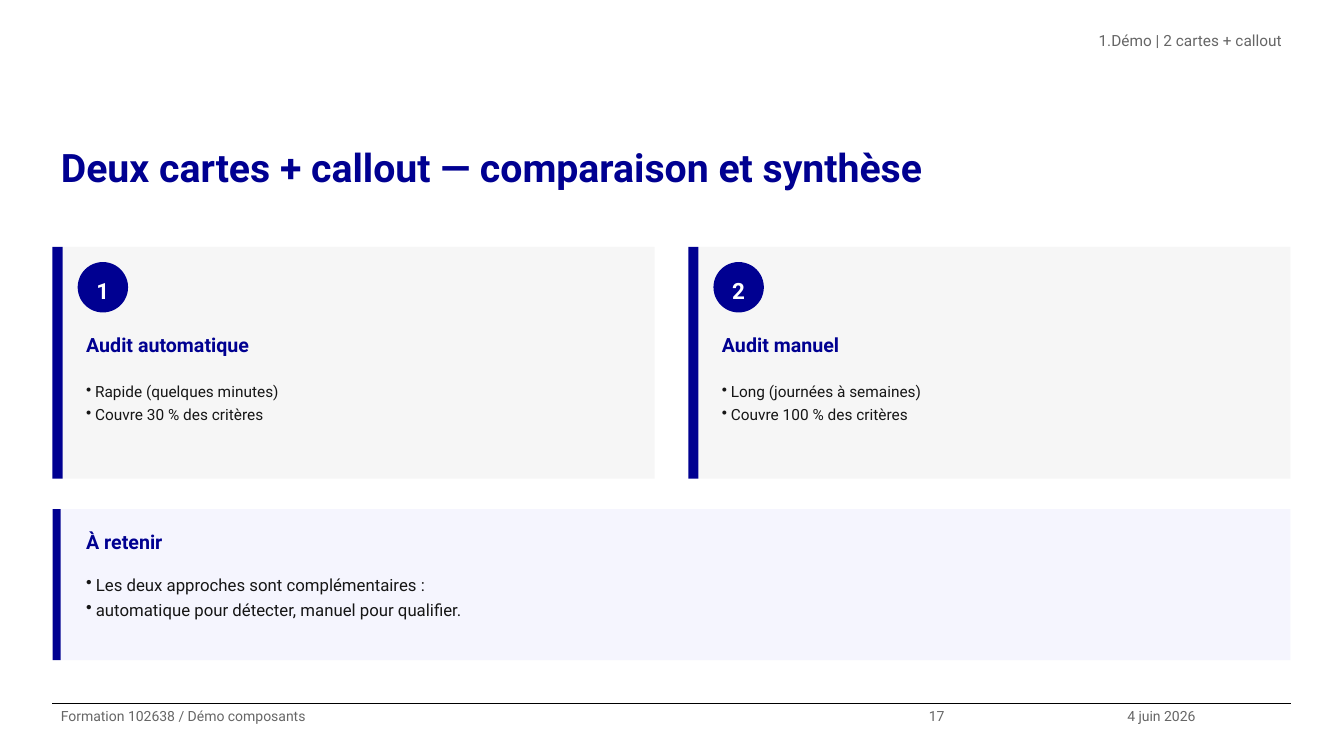
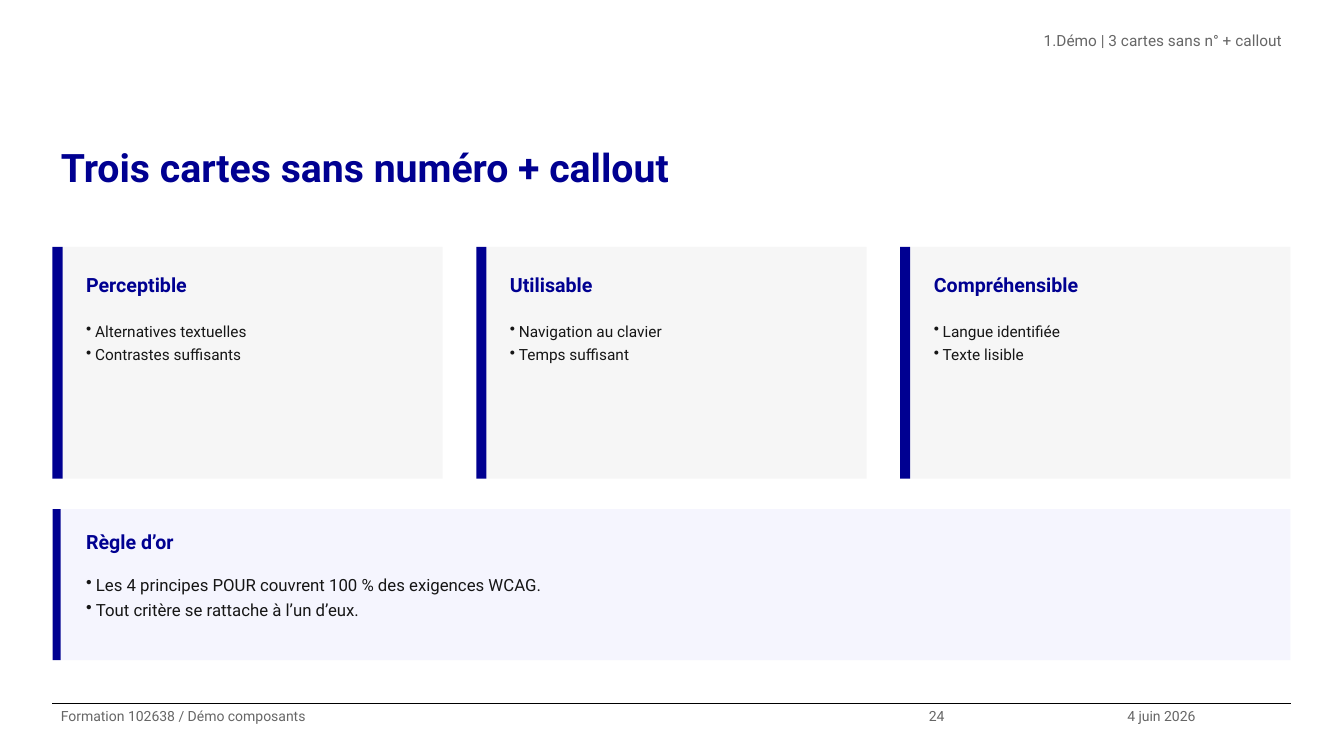
from lxml.etree import SubElement
from pptx import Presentation
from pptx.dml.color import RGBColor
from pptx.enum.shapes import MSO_CONNECTOR, MSO_SHAPE
from pptx.enum.text import MSO_ANCHOR, PP_ALIGN
from pptx.oxml.ns import qn
from pptx.util import Pt

BLUE = RGBColor(0x00, 0x00, 0x91)
GREY = RGBColor(0x66, 0x66, 0x66)
INK = RGBColor(0x16, 0x16, 0x16)
BLACK = RGBColor(0x00, 0x00, 0x00)
WHITE = RGBColor(0xFF, 0xFF, 0xFF)
CARD_FILL = RGBColor(0xF6, 0xF6, 0xF6)
CALLOUT_FILL = RGBColor(0xF5, 0xF5, 0xFE)

SLIDES = [
    {
        "header": "Démo | 2 cartes + callout",
        "title": "Deux cartes + callout — comparaison et synthèse",
        "page": "17",
        "numbered": True,
        "cards": [
            ("Audit automatique", ["Rapide (quelques minutes)", "Couvre 30 % des critères"]),
            ("Audit manuel", ["Long (journées à semaines)", "Couvre 100 % des critères"]),
        ],
        "callout": ("À retenir", [
            "Les deux approches sont complémentaires :",
            "automatique pour détecter, manuel pour qualifier.",
        ]),
    },
    {
        "header": "Démo | 3 cartes sans n° + callout",
        "title": "Trois cartes sans numéro + callout",
        "page": "24",
        "numbered": False,
        "cards": [
            ("Perceptible", ["Alternatives textuelles", "Contrastes suffisants"]),
            ("Utilisable", ["Navigation au clavier", "Temps suffisant"]),
            ("Compréhensible", ["Langue identifiée", "Texte lisible"]),
        ],
        "callout": ("Règle d’or", [
            "Les 4 principes POUR couvrent 100 % des exigences WCAG.",
            "Tout critère se rattache à l’un d’eux.",
        ]),
    },
]
FOOTER = "Formation 102638 / Démo composants"
DATE = "4 juin 2026"

FONT = "Roboto"
TITLE = {"size": Pt(28), "bold": True, "color": BLUE}
HEADING = {"size": Pt(14), "bold": True, "color": BLUE}
BADGE = {"size": Pt(16), "bold": True, "color": WHITE}
CARD_BODY = {"size": Pt(11), "color": INK}
CALLOUT_BODY = {"size": Pt(12), "color": INK}
HEADER = {"size": Pt(11), "color": GREY}
SMALL = {"size": Pt(10), "color": GREY}

LEFT, WIDTH = 37.5, 884.3
RIGHT = LEFT + WIDTH
TEXT_LEFT = 18
PADDING = 10.8
GAP = 24
CARD_TOP, CARD_HEIGHT, CARD_BAR = 176.4, 165.6, 7.2
CALLOUT_TOP, CALLOUT_HEIGHT, CALLOUT_BAR = 363.6, 108, 5.76
BADGE_SIZE, BADGE_STEP = 36, 43.2
FOOTER_TOP = 502.4
PAGE_LEFT, DATE_LEFT = 657.5, 799.2
BULLET_RATIO = 0.58


def box(left, top, width, height):
    return [Pt(round(value, 2)) for value in (left, top, width, height)]


def set_list_mark(paragraph, indent, tag, **attributes):
    properties = paragraph._p.get_or_add_pPr()
    properties.set("marL", str(Pt(indent)))
    properties.set("indent", str(-Pt(indent)))
    SubElement(properties, qn(tag), attributes)


def write(shape, lines, style, inset=3.6, align=PP_ALIGN.LEFT, anchor=MSO_ANCHOR.TOP, mark=None):
    frame = shape.text_frame
    settings = {
        "word_wrap": True, "vertical_anchor": anchor,
        "margin_left": Pt(6), "margin_right": Pt(6),
        "margin_top": Pt(inset), "margin_bottom": Pt(inset),
    }
    for name, value in settings.items():
        setattr(frame, name, value)
    for index, line in enumerate(lines):
        paragraph = frame.add_paragraph() if index else frame.paragraphs[0]
        paragraph.alignment = align
        paragraph.line_spacing = 1.25
        if mark == "bullet":
            indent = round(style["size"].pt * BULLET_RATIO, 2)
            set_list_mark(paragraph, indent, "a:buChar", char="•")
        elif mark == "number":
            set_list_mark(paragraph, 8.6, "a:buAutoNum", type="arabicPeriod")
        run = paragraph.add_run()
        run.text = line
        run.font.name = FONT
        for name, value in style.items():
            if name == "color":
                run.font.color.rgb = value
            else:
                setattr(run.font, name, value)


def add_text(slide, area, lines, style, **options):
    write(slide.shapes.add_textbox(*box(*area)), lines, style, **options)


def add_block(slide, area, color, kind=MSO_SHAPE.RECTANGLE):
    shape = slide.shapes.add_shape(kind, *box(*area))
    shape.shadow.inherit = False
    shape.fill.solid()
    shape.fill.fore_color.rgb = color
    shape.line.fill.background()
    return shape


def add_panel(slide, area, bar, color):
    left, top, width, height = area
    add_block(slide, (left + bar, top, width - bar, height), color)
    add_block(slide, (left, top, bar, height), BLUE)


def add_card(slide, left, width, heading, points, number):
    add_panel(slide, (left, CARD_TOP, width, CARD_HEIGHT), CARD_BAR, CARD_FILL)
    text_left, text_top = left + TEXT_LEFT, CARD_TOP + PADDING
    text_width = width - TEXT_LEFT - PADDING
    if number:
        badge = add_block(slide, (text_left, text_top, BADGE_SIZE, BADGE_SIZE), BLUE, MSO_SHAPE.OVAL)
        write(badge, [str(number)], BADGE, align=PP_ALIGN.CENTER, anchor=MSO_ANCHOR.MIDDLE)
        text_top += BADGE_STEP
    body_top = text_top + 36
    body_height = CARD_TOP + CARD_HEIGHT - PADDING - body_top
    add_text(slide, (text_left, text_top, text_width, 32.4), [heading], HEADING)
    add_text(slide, (text_left, body_top, text_width, body_height), points, CARD_BODY, mark="bullet")


def add_callout(slide, heading, points):
    add_panel(slide, (LEFT, CALLOUT_TOP, WIDTH, CALLOUT_HEIGHT), CALLOUT_BAR, CALLOUT_FILL)
    left, width = LEFT + TEXT_LEFT, WIDTH - TEXT_LEFT - 7.2
    add_text(slide, (left, CALLOUT_TOP + 7.2, width, 28.8), [heading], HEADING)
    add_text(slide, (left, CALLOUT_TOP + 39.6, width, 61.2), points, CALLOUT_BODY, mark="bullet")


def add_frame(slide, content):
    rule = slide.shapes.add_connector(
        MSO_CONNECTOR.STRAIGHT, Pt(LEFT), Pt(FOOTER_TOP), Pt(RIGHT), Pt(FOOTER_TOP))
    rule.line.color.rgb = BLACK
    rule.line.width = Pt(0.8)
    SubElement(rule._element.spPr, qn("a:effectLst"))
    add_text(slide, (LEFT, 94.3, WIDTH, 75.6), [content["title"]], TITLE, inset=0)
    add_text(slide, (347.8, 18.7, RIGHT - 347.8, 37.4), [content["header"]], HEADER,
             inset=0, align=PP_ALIGN.RIGHT, mark="number")
    edges = [LEFT, PAGE_LEFT, DATE_LEFT, RIGHT]
    for text, start, end in zip((FOOTER, content["page"], DATE), edges, edges[1:]):
        add_text(slide, (start, FOOTER_TOP, end - start, 37.4), [text], SMALL, inset=0)


def main():
    presentation = Presentation()
    presentation.slide_width, presentation.slide_height = Pt(960), Pt(540)
    for content in SLIDES:
        slide = presentation.slides.add_slide(presentation.slide_layouts[6])
        add_frame(slide, content)
        pitch = (WIDTH + GAP) / len(content["cards"])
        for index, (heading, points) in enumerate(content["cards"]):
            number = index + 1 if content["numbered"] else None
            add_card(slide, LEFT + index * pitch, pitch - GAP, heading, points, number)
        add_callout(slide, *content["callout"])
    presentation.save("out.pptx")


if __name__ == "__main__":
    main()
